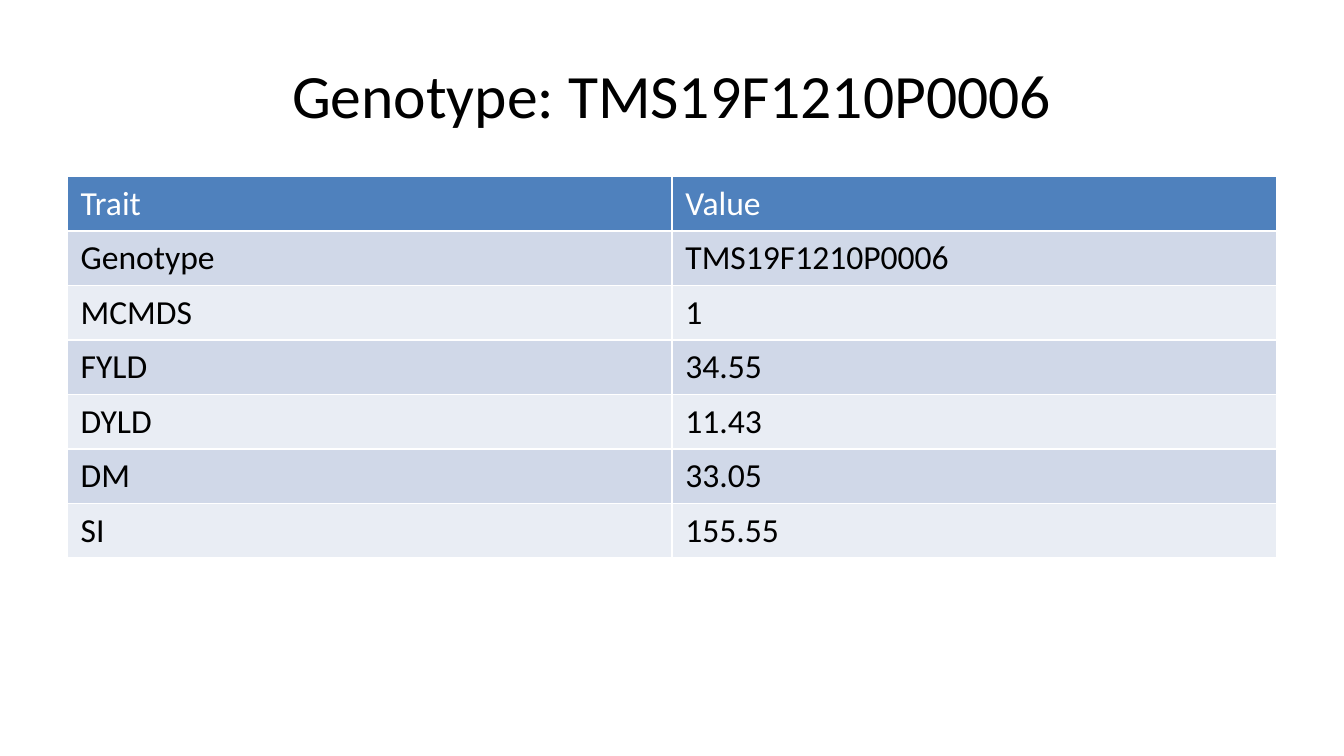
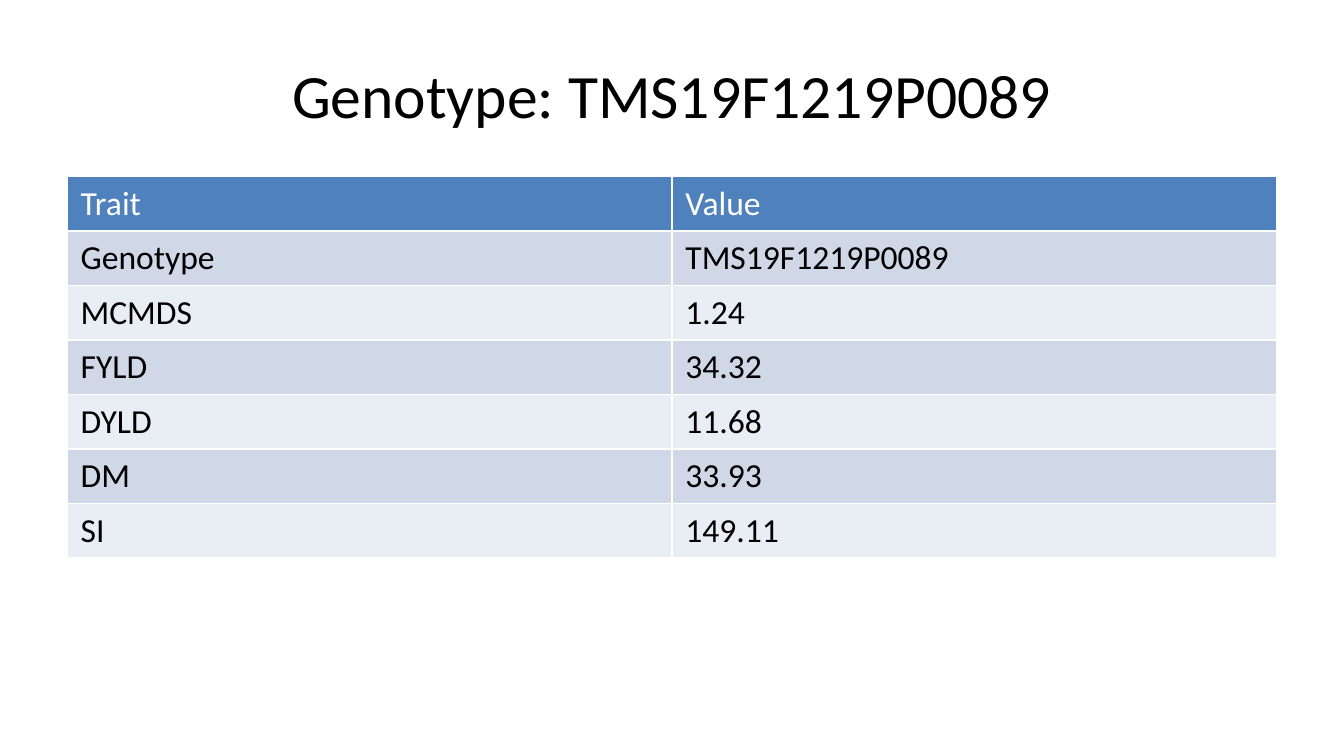
from pptx import Presentation
from pptx.dml.color import RGBColor
from pptx.enum.text import MSO_ANCHOR, PP_ALIGN
from pptx.util import Pt

FONT = "Calibri"
BLACK, WHITE = "000000", "FFFFFF"
HEADER = "4F81BD"
BANDS = ("D0D8E8", "E9EDF4")
TITLE_BOX = (36, 16.5, 648, 67.5)
TABLE_BOX = (36, 94.5, 648, 267)
ROW_HEIGHT = 29.17
TRAITS = ("MCMDS", "FYLD", "DYLD", "DM", "SI")
GENOTYPES = {
    "TMS19F1210P0006": ("1", "34.55", "11.43", "33.05", "155.55"),
    "TMS19F1219P0089": ("1.24", "34.32", "11.68", "33.93", "149.11"),
}


def paint(target, color):
    target.rgb = RGBColor.from_string(color)


def style(p, size, color):
    p.font.name = FONT
    p.font.size = Pt(size)
    p.font.bold = False
    paint(p.font.color, color)


def add_title(s, box, text):
    sp = s.shapes.title
    sp.left, sp.top, sp.width, sp.height = map(Pt, box)
    tf = sp.text_frame
    tf.text = text
    tf.vertical_anchor = MSO_ANCHOR.MIDDLE
    p = tf.paragraphs[0]
    p.alignment = PP_ALIGN.CENTER
    style(p, 33, BLACK)


def add_trait_table(s, box, rows):
    frame = s.shapes.add_table(len(rows), len(rows[0]), *map(Pt, box))
    table = frame.table
    for i, values in enumerate(rows):
        table.rows[i].height = Pt(ROW_HEIGHT)
        fill, color = (BANDS[(i - 1) % 2], BLACK) if i else (HEADER, WHITE)
        for j, value in enumerate(values):
            cell = table.cell(i, j)
            cell.text = value
            cell.fill.solid()
            paint(cell.fill.fore_color, fill)
            style(cell.text_frame.paragraphs[0], 18, color)
    frame.height = Pt(box[3])


def add_genotype_slide(prs, genotype, values):
    s = prs.slides.add_slide(prs.slide_layouts.get_by_name("Title Only"))
    add_title(s, TITLE_BOX, f"Genotype: {genotype}")
    rows = [("Trait", "Value"), ("Genotype", genotype), *zip(TRAITS, values)]
    add_trait_table(s, TABLE_BOX, rows)


def main():
    prs = Presentation()
    prs.slide_width, prs.slide_height = Pt(720), Pt(405)
    for genotype, values in GENOTYPES.items():
        add_genotype_slide(prs, genotype, values)
    prs.save("out.pptx")


if __name__ == "__main__":
    main()
